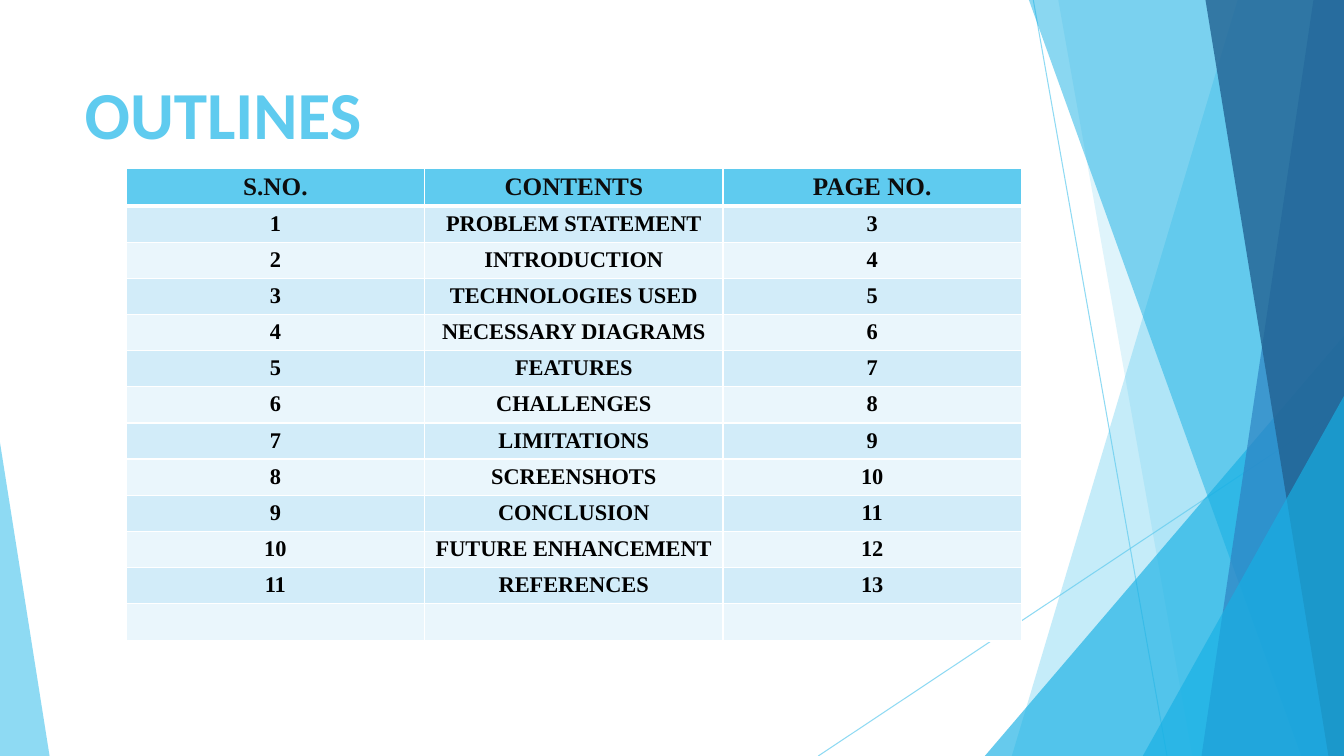
"""Build the outline slide with its contents table."""
from lxml.etree import SubElement
from pptx import Presentation
from pptx.dml.color import RGBColor
from pptx.enum.shapes import MSO_CONNECTOR as Link, MSO_SHAPE as Form
from pptx.enum.text import MSO_ANCHOR as Anchor, MSO_AUTO_SIZE as Fit, PP_ALIGN as Align
from pptx.oxml import parse_xml
from pptx.oxml.ns import nsdecls, qn
from pptx.util import Cm, Pt

SKY = RGBColor(0x5F, 0xCB, 0xEF)
CYAN = RGBColor(0x17, 0xB0, 0xE4)
BLUE = RGBColor(0x2E, 0x83, 0xC3)
NAVY = RGBColor(0x22, 0x62, 0x92)
PALE = RGBColor(0xD2, 0xEC, 0xF9)
ICE = RGBColor(0xEA, 0xF6, 0xFC)
INK = RGBColor(0x0D, 0x0D, 0x0D)
BLACK = RGBColor(0, 0, 0)
WIDE, HIGH = 33.87, 19.05


def paint(shape, fill, color, alpha):
    fill.solid()
    fill.fore_color.rgb = color
    for node in shape.element.xpath(".//a:srgbClr"):
        SubElement(node, qn("a:alpha")).set("val", str(alpha * 1000))


def write(frame, text, size, font, color, align):
    para = frame.paragraphs[0]
    para.alignment = align
    if not text:
        SubElement(para._p, qn("a:endParaRPr")).set("sz", str(size * 100))
        return
    run = para.add_run()
    run.text = text
    run.font.size = Pt(size)
    run.font.name = font
    run.font.bold = True
    run.font.color.rgb = color


deck = Presentation()
deck.slide_width, deck.slide_height = Cm(WIDE), Cm(HIGH)
slide = deck.slides.add_slide(deck.slide_layouts[5])
shapes = slide.shapes

for x1, y1, x2 in [(26.04, 0, 29.41), (WIDE, 10.24, 20.62)]:
    ray = shapes.add_connector(Link.STRAIGHT, Cm(x1), Cm(y1), Cm(x2), Cm(HIGH))
    ray.line.width = Pt(0.75)
    paint(ray, ray.line.fill, SKY, 70)
    SubElement(ray.element.spPr, qn("a:effectLst"))

shards = [
    ("band", (31.19, 25.5), SKY, 36),
    ("band", (26.67, 30.05), SKY, 20),
    ("peak", (24.82, 8.46, 9.05, 1), CYAN, 66),
    ("band", (25.93, 32.79), CYAN, 50),
    ("band", (33.1, 30.28), BLUE, 70),
    ("band", (30.38, 33.48), NAVY, 80),
    ("peak", (28.8, 9.98, 5.07, 1), CYAN, 66),
    ("peak", (0, 11.15, 1.25, 0), SKY, 70),
]
for kind, place, color, alpha in shards:
    if kind == "band":
        head, foot = place
        pen = shapes.build_freeform(Cm(head), 0)
        pen.add_line_segments(
            [(Cm(WIDE), 0), (Cm(WIDE), Cm(HIGH)), (Cm(foot), Cm(HIGH))], close=True)
        shard = pen.convert_to_shape()
    else:
        left, top, width, tip = place
        shard = shapes.add_shape(Form.ISOSCELES_TRIANGLE, Cm(left), Cm(top),
                                 Cm(width), Cm(HIGH - top))
        shard.adjustments[0] = tip
    shard.shadow.inherit = False
    shard.line.fill.background()
    paint(shard, shard.fill, color, alpha)

title = shapes.title
shapes.element.append(title.element)
title.left, title.top, title.width, title.height = Cm(1.88), Cm(1.7), Cm(23.88), Cm(3.66)
title.text_frame.auto_size = Fit.NONE
title.text_frame.vertical_anchor = Anchor.TOP
write(title.text_frame, "OUTLINES", 48, "Calibri", SKY, Align.LEFT)

topics = [
    "PROBLEM STATEMENT", "INTRODUCTION", "TECHNOLOGIES USED", "NECESSARY DIAGRAMS",
    "FEATURES", "CHALLENGES", "LIMITATIONS", "SCREENSHOTS", "CONCLUSION",
    "FUTURE ENHANCEMENT", "REFERENCES",
]
rows = [("S.NO.", "CONTENTS", "PAGE NO.")]
rows += [(str(n), topic, str(n + 2)) for n, topic in enumerate(topics, 1)]
rows.append(("", "", ""))

table = shapes.add_table(len(rows), 3, Cm(3.18), Cm(4.24), Cm(22.56), Cm(11.86)).table
for col in table.columns:
    col.width = Cm(7.52)
for r, row in enumerate(rows):
    table.rows[r].height = Cm(0.91 if r else 0.94)
    size, ink = (16, BLACK) if r else (18, INK)
    shade = (PALE if r % 2 else ICE) if r else SKY
    for c, text in enumerate(row):
        cell = table.cell(r, c)
        props = cell._tc.get_or_add_tcPr()
        for side in "LRTB":
            thick = 3 if (r, side) in [(0, "B"), (1, "T")] else 1
            props.append(parse_xml(
                f'<a:ln{side} {nsdecls("a")} w="{Pt(thick)}"><a:solidFill>'
                f'<a:srgbClr val="FFFFFF"/></a:solidFill></a:ln{side}>'))
        cell.fill.solid()
        cell.fill.fore_color.rgb = shade
        write(cell.text_frame, text, size, "Times New Roman", ink, Align.CENTER)

deck.save("out.pptx")
